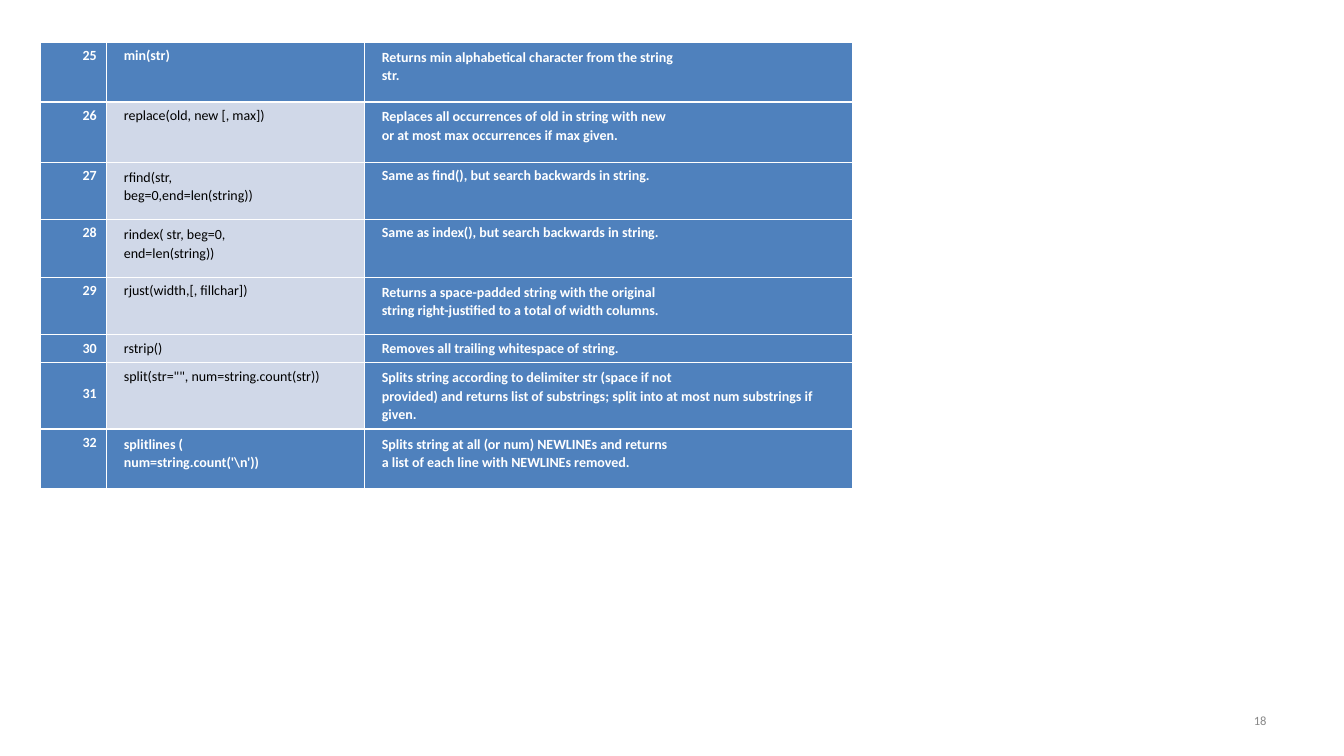
import dataclasses

import lxml.etree
import pptx
import pptx.dml.color
import pptx.enum.text
import pptx.oxml.ns
import pptx.util

Inches = pptx.util.Inches
Pt = pptx.util.Pt
Align = pptx.enum.text.PP_ALIGN


@dataclasses.dataclass(frozen=True)
class Theme:
    font: str = "Calibri"
    blue: str = "4F81BD"
    pale: str = "D0D8E8"
    white: str = "FFFFFF"
    black: str = "000000"
    gray: str = "898989"
    body_size: float = 10
    footer_size: float = 9
    thin: float = 0.45
    thick: float = 1.47


THEME = Theme()
COLUMN_WIDTHS = (0.66, 2.56, 4.84)
ROW_HEIGHTS = (0.59, 0.6, 0.57, 0.57, 0.57, 0.28, 0.66, 0.59)
FIRST_NUMBER = 25
PLAIN_METHODS = range(26, 32)
THICK_EDGES = (1, 7)
COMPACT_NUMBER = 30
LOWERED_NUMBER = 31

METHODS = (
    ("min(str)",
     "Returns min alphabetical character from the string\nstr."),
    ("replace(old, new [, max])",
     "Replaces all occurrences of old in string with new\n"
     "or at most max occurrences if max given."),
    ("rfind(str,\nbeg=0,end=len(string))",
     "Same as find(), but search backwards in string."),
    ("rindex( str, beg=0,\nend=len(string))",
     "Same as index(), but search backwards in string."),
    ("rjust(width,[, fillchar])",
     "Returns a space-padded string with the original\n"
     "string right-justified to a total of width columns."),
    ("rstrip()",
     "Removes all trailing whitespace of string."),
    ('split(str="", num=string.count(str))',
     "Splits string according to delimiter str (space if not\n"
     "provided) and returns list of substrings; "
     "split into at most num substrings if given."),
    ("splitlines (\nnum=string.count('\\n'))",
     "Splits string at all (or num) NEWLINEs and returns\n"
     "a list of each line with NEWLINEs removed."),
)


def rgb(color):
    return pptx.dml.color.RGBColor.from_string(color)


def write_text(frame, text, *, size=THEME.body_size, color=THEME.white,
               bold=False, align=Align.LEFT, indent=0, before=0, leading=None):
    for index, line in enumerate(text.split("\n")):
        para = frame.add_paragraph() if index else frame.paragraphs[0]
        para.alignment = align
        para.space_before = Pt(before)
        if leading:
            para.line_spacing = Pt(leading)
        if indent:
            para._p.get_or_add_pPr().set("marL", str(Inches(indent)))
        span = para.add_run()
        span.text = line
        span.font.name = THEME.font
        span.font.size = Pt(size)
        span.font.bold = bold
        span.font.color.rgb = rgb(color)


def set_borders(cell, row):
    widths = {
        "lnL": THEME.thin,
        "lnR": THEME.thin,
        "lnT": THEME.thick if row in THICK_EDGES else THEME.thin,
        "lnB": THEME.thick if row + 1 in THICK_EDGES else THEME.thin,
    }
    qn = pptx.oxml.ns.qn
    properties = cell._tc.get_or_add_tcPr()
    for position, (side, width) in enumerate(widths.items()):
        line = lxml.etree.Element(qn(f"a:{side}"), w=str(Pt(width)))
        fill = lxml.etree.SubElement(line, qn("a:solidFill"))
        lxml.etree.SubElement(fill, qn("a:srgbClr"), val=THEME.white)
        properties.insert(position, line)


def fill_cell(cell, row, text, *, fill=THEME.blue, **text_format):
    cell.fill.solid()
    cell.fill.fore_color.rgb = rgb(fill)
    set_borders(cell, row)
    if row + FIRST_NUMBER == COMPACT_NUMBER:
        spacing = {"leading": 12.7}
    elif "\n" in text:
        spacing = {"leading": 13.3}
    else:
        spacing = {"before": 6.5}
    write_text(cell.text_frame, text, **spacing, **text_format)


def add_method_table(page):
    table = page.shapes.add_table(
        len(METHODS), len(COLUMN_WIDTHS), Inches(0.4), Inches(0.42),
        Inches(sum(COLUMN_WIDTHS)), Inches(sum(ROW_HEIGHTS))).table
    table.first_row = False
    table.horz_banding = False
    for column, width in zip(table.columns, COLUMN_WIDTHS):
        column.width = Inches(width)
    for row, (method, description) in enumerate(METHODS):
        number = row + FIRST_NUMBER
        plain = number in PLAIN_METHODS
        table.rows[row].height = Inches(ROW_HEIGHTS[row])
        fill_cell(table.cell(row, 0), row, str(number), bold=True, align=Align.RIGHT)
        fill_cell(table.cell(row, 1), row, method, indent=0.07, bold=not plain,
                  fill=THEME.pale if plain else THEME.blue,
                  color=THEME.black if plain else THEME.white)
        fill_cell(table.cell(row, 2), row, description, indent=0.07, bold=True)
    table.cell(LOWERED_NUMBER - FIRST_NUMBER, 0).margin_top = Inches(0.22)


def add_page_number(page, number):
    box = page.shapes.add_textbox(Inches(9.56), Inches(6.95), Inches(3.11), Inches(0.4))
    frame = box.text_frame
    frame.word_wrap = True
    frame.vertical_anchor = pptx.enum.text.MSO_ANCHOR.MIDDLE
    write_text(frame, number, size=THEME.footer_size, color=THEME.gray, align=Align.RIGHT)


def main():
    deck = pptx.Presentation()
    deck.slide_width = Inches(13.34)
    deck.slide_height = Inches(7.5)
    page = deck.slides.add_slide(deck.slide_layouts[6])
    add_method_table(page)
    add_page_number(page, "18")
    deck.save("out.pptx")


if __name__ == "__main__":
    main()
